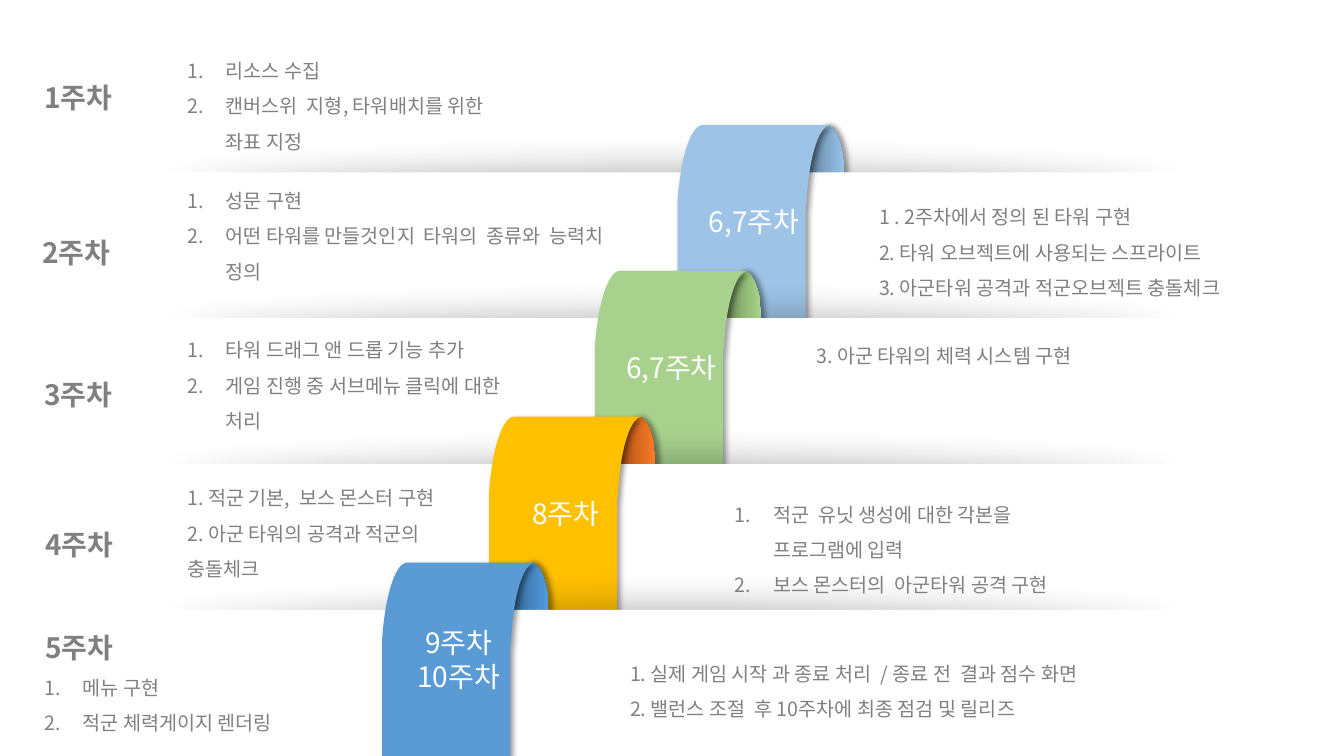
from lxml.etree import SubElement
from pptx import Presentation
from pptx.dml.color import RGBColor
from pptx.enum.shapes import MSO_SHAPE as Shape
from pptx.enum.text import MSO_ANCHOR as Anchor, MSO_AUTO_SIZE as AutoSize, PP_ALIGN as Align
from pptx.oxml.ns import qn
from pptx.util import Inches, Pt

FONT = "Noto Sans CJK KR"
WHITE, GREY = "FFFFFF", "808080"


def color(value):
    return RGBColor.from_string(value)


def write_text(shape, lines, size, text_color, bold=False, align=Align.LEFT, spacing=None, numbered=False):
    text_frame = shape.text_frame
    text_frame.word_wrap = True
    text_frame.text = "\n".join(lines)
    for paragraph in text_frame.paragraphs:
        paragraph.alignment = align
        paragraph.line_spacing = spacing
        if numbered:
            properties = paragraph._p.get_or_add_pPr()
            properties.set("marL", str(Inches(0.38)))
            properties.set("indent", str(-Inches(0.38)))
            SubElement(properties, qn("a:buAutoNum"), type="arabicPeriod")
        for run in paragraph.runs:
            run.font.size = Pt(size)
            run.font.bold = bold
            run.font.name = FONT
            run.font.color.rgb = color(text_color)
            SubElement(run._r.get_or_add_rPr(), qn("a:ea"), typeface=FONT)


presentation = Presentation()
presentation.slide_width = Inches(13.33)
presentation.slide_height = Inches(7.5)
slide = presentation.slides.add_slide(presentation.slide_layouts[6])

first_band_top, band_step, band_height = 1.71, 1.447, 1.45
ribbon_height, ribbon_rise = 1.92, 0.47
ribbons = [
    (6.72, "9DC3E6", ["5A748B", "7FA5C6", "97C3EB"], ["6,7주차"]),
    (5.90, "A9D18E", ["637F51", "8DB473", "A8D689"], ["6,7주차"]),
    (4.85, "FFC000", ["954815", "D4671D", "FB7A23"], ["8주차"]),
    (3.79, "5B9BD5", ["305C84", "4583BB", "529BDE"], ["9주차", "10주차"]),
]

right_curve = [(1.52, 0), (1.4, 0), (1.3, 0.33), (1.28, 0.76)]
left_curve = [(0, 0.76), (0.03, 0.33), (0.13, 0), (0.25, 0)]
curves = []
for start, control_1, control_2, end in (right_curve, left_curve):
    points = []
    for step in range(25):
        t = step / 24
        weights = ((1 - t) ** 3, 3 * t * (1 - t) ** 2, 3 * t * t * (1 - t), t ** 3)
        corners = (start, control_1, control_2, end)
        points.append(tuple(sum(w * corner[axis] for w, corner in zip(weights, corners)) for axis in (0, 1)))
    curves.append(points)
outline = curves[0] + [(1.27, 0.85), (1.27, ribbon_height), (0, ribbon_height)] + curves[1]

for index, (left, ribbon_color, curl_colors, weeks) in enumerate(ribbons):
    band_top = first_band_top + index * band_step
    ribbon_top = band_top - ribbon_rise

    shade = slide.shapes.add_shape(
        Shape.OVAL, 0, Inches(band_top - 0.39), Inches(13.33), Inches(1.11))
    shade.fill.solid()
    shade.fill.fore_color.rgb = color("000000")
    shade_color = shade._element.spPr.find(qn("a:solidFill"))[0]
    SubElement(shade_color, qn("a:alpha"), val="27000")

    curl = slide.shapes.add_shape(
        Shape.OVAL, Inches(left + 1.29), Inches(ribbon_top), Inches(0.36), Inches(0.93))
    curl.fill.gradient()
    curl.fill.gradient_angle = 0
    stops = curl._element.spPr.find(qn("a:gradFill")).find(qn("a:gsLst"))
    stops.clear()
    for position, curl_color in zip((0, 50000, 100000), curl_colors):
        stop = SubElement(stops, qn("a:gs"), pos=str(position))
        SubElement(stop, qn("a:srgbClr"), val=curl_color)

    band = slide.shapes.add_shape(
        Shape.RECTANGLE, 0, Inches(band_top), Inches(13.33), Inches(band_height))
    band.fill.solid()
    band.fill.fore_color.rgb = color(WHITE)

    builder = slide.shapes.build_freeform(
        Inches(left + outline[0][0]), Inches(ribbon_top + outline[0][1]))
    builder.add_line_segments([(Inches(left + x), Inches(ribbon_top + y)) for x, y in outline[1:]])
    ribbon = builder.convert_to_shape()
    ribbon.fill.solid()
    ribbon.fill.fore_color.rgb = color(ribbon_color)
    ribbon.text_frame.vertical_anchor = Anchor.MIDDLE
    write_text(ribbon, weeks, 20, WHITE, align=Align.CENTER)

    for shape in (shade, curl, band, ribbon):
        shape.line.fill.background()
        shape.shadow.inherit = False
    SubElement(shade._element.spPr.find(qn("a:effectLst")), qn("a:softEdge"), rad=str(Pt(25)))
    for shape, angle in ((curl, 0), (ribbon, 45)):
        shadow = SubElement(
            shape._element.spPr.find(qn("a:effectLst")), qn("a:outerShdw"),
            blurRad=str(Pt(4)), dist=str(Pt(3)), dir=str(angle * 60000), algn="tl", rotWithShape="0")
        shadow_color = SubElement(shadow, qn("a:srgbClr"), val="000000")
        SubElement(shadow_color, qn("a:alpha"), val="40000")

week_labels = [(0.34, 0.58), (0.32, 2.12), (0.34, 3.53), (0.35, 5.02), (0.35, 6.04)]
notes = [
    (1.76, 0.42, 3.21, 1.16, True, ["리소스 수집", "캔버스위  지형, 타워배치를 위한 좌표 지정"]),
    (1.76, 1.71, 4.39, 1.16, True, ["성문 구현", "어떤 타워를 만들것인지  타워의  종류와  능력치 정의"]),
    (1.76, 3.19, 3.32, 1.16, True, ["타워 드래그 앤 드롭 기능 추가", "게임 진행 중 서브메뉴 클릭에 대한 처리"]),
    (1.76, 4.66, 3.21, 1.16, False, ["1. 적군 기본,  보스 몬스터 구현", "2. 아군 타워의 공격과 적군의 충돌체크"]),
    (0.34, 6.54, 3.21, 0.81, True, ["메뉴 구현", "적군 체력게이지 렌더링"]),
    (8.62, 1.87, 4.2, 1.16, False, [
        "1 . 2주차에서 정의 된 타워 구현",
        "2. 타워 오브젝트에 사용되는 스프라이트",
        "3. 아군타워 공격과 적군오브젝트 충돌체크"]),
    (8, 3.25, 3.7, 0.81, False, ["3. 아군 타워의 체력 시스템 구현"]),
    (7.19, 4.82, 3.7, 1.51, True, [
        "적군  유닛 생성에 대한 각본을 프로그램에 입력", "보스 몬스터의  아군타워 공격 구현"]),
    (6.15, 6.4, 6.38, 0.81, False, [
        "1. 실제 게임 시작 과 종료 처리  / 종료 전  결과 점수 화면",
        "2. 밸런스 조절  후 10주차에 최종 점검 및 릴리즈"]),
]

for week, (left, top) in enumerate(week_labels, start=1):
    label = slide.shapes.add_textbox(Inches(left), Inches(top), Inches(1.46), Inches(0.61))
    label.text_frame.auto_size = AutoSize.SHAPE_TO_FIT_TEXT
    write_text(label, [f"{week}주차"], 20, GREY, bold=True, spacing=1.5)

for left, top, width, height, numbered, lines in notes:
    note = slide.shapes.add_textbox(Inches(left), Inches(top), Inches(width), Inches(height))
    note.text_frame.auto_size = AutoSize.SHAPE_TO_FIT_TEXT
    write_text(note, lines, 14, GREY, spacing=1.5, numbered=numbered)

presentation.save("out.pptx")
